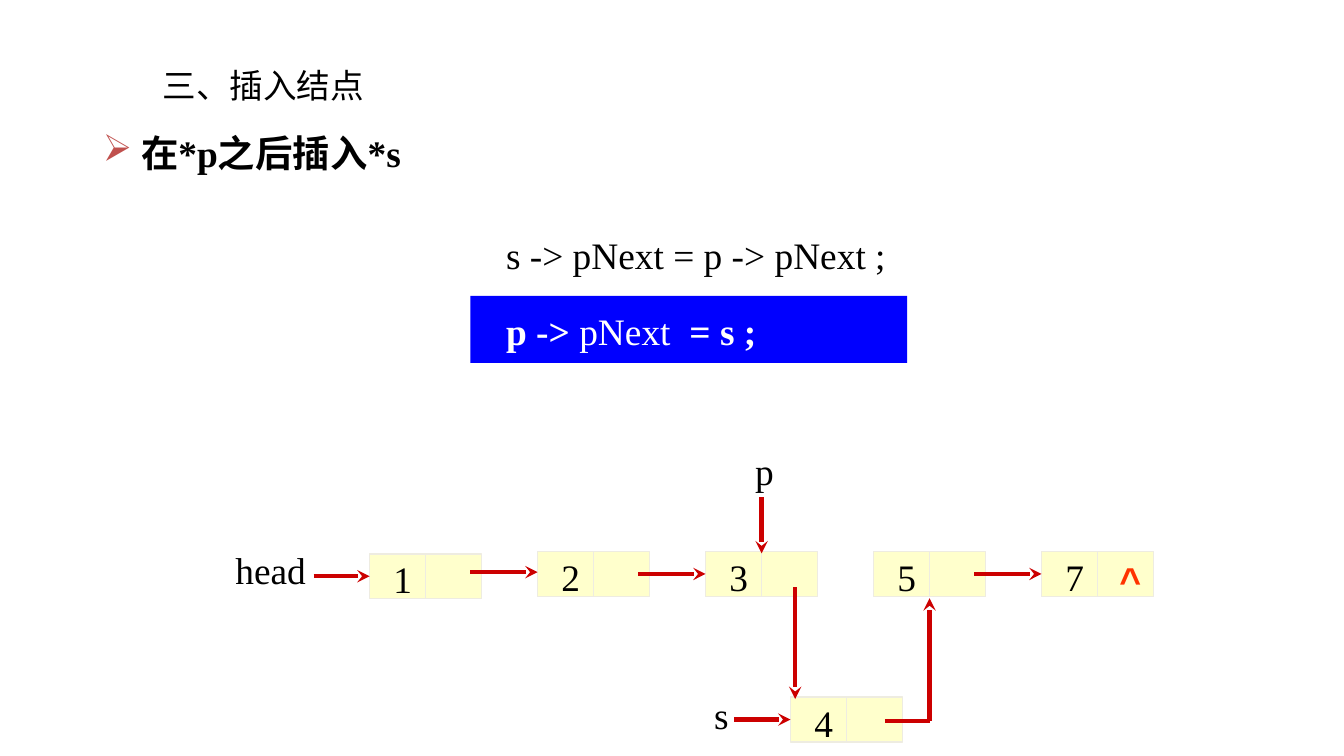
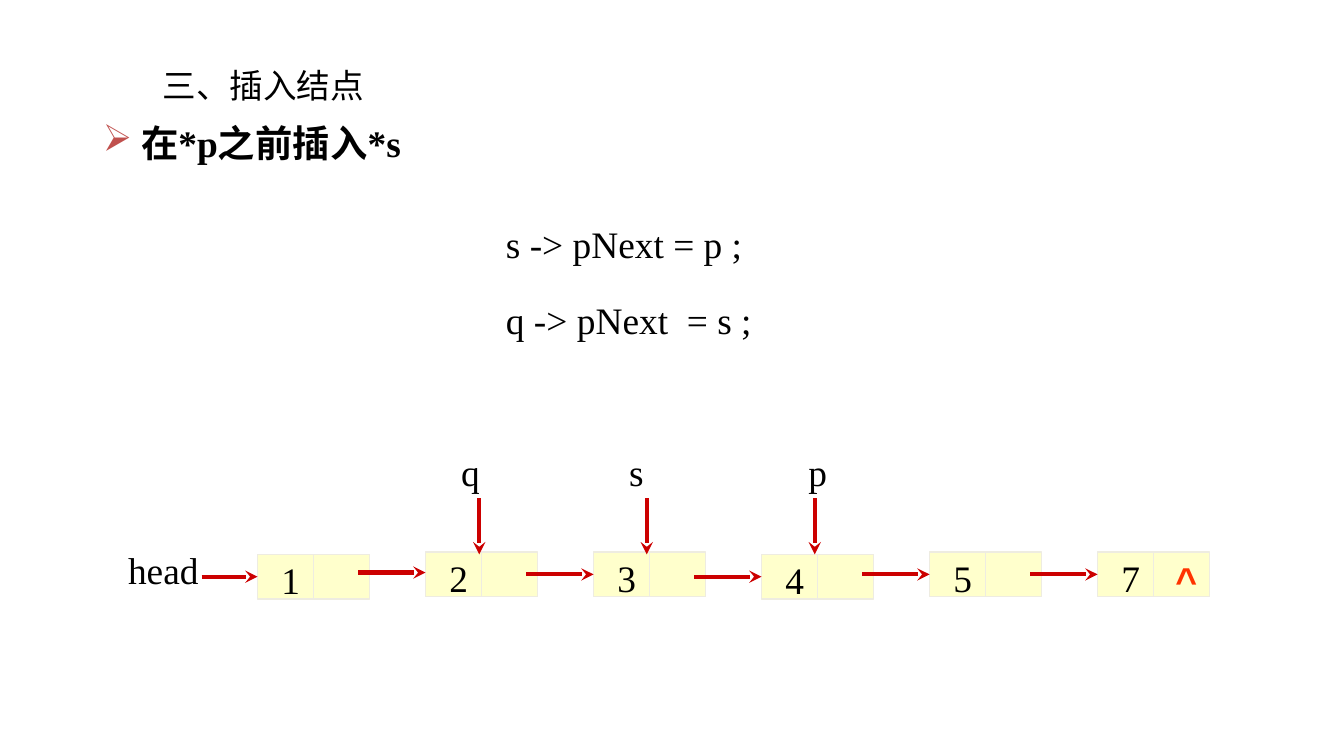
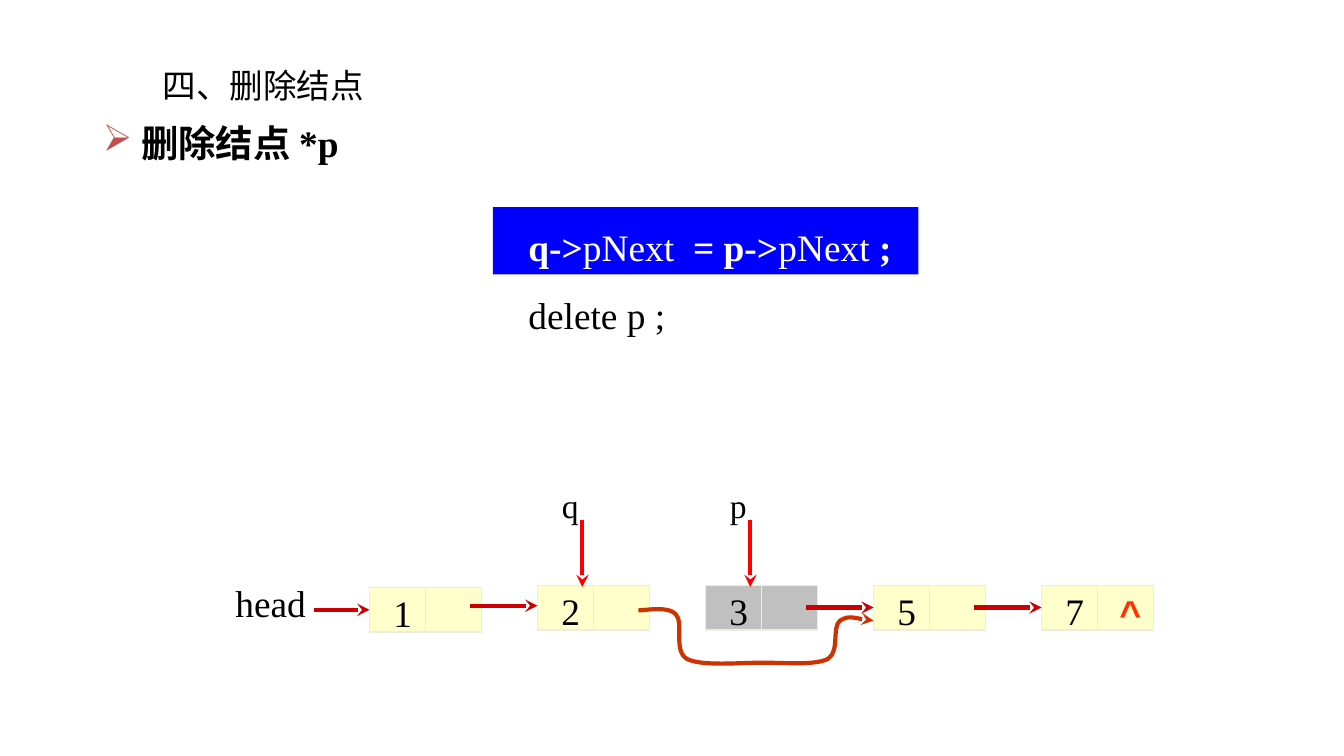
from lxml.etree import SubElement
from pptx import Presentation
from pptx.dml.color import RGBColor
from pptx.enum.shapes import MSO_CONNECTOR, MSO_SHAPE
from pptx.enum.text import MSO_ANCHOR, MSO_AUTO_SIZE, PP_ALIGN
from pptx.oxml.ns import qn
from pptx.util import Pt

SERIF = "Times New Roman"
BLACK, WHITE, BLUE = "000000", "FFFFFF", "0000FF"
CREAM, GRAY, EDGE = "FFFFCC", "C0C0C0", "EEECE1"
RED, BRIGHT, RUST, CARET, BRICK = "CC0000", "FF0000", "CC3300", "FF3300", "C0504D"
WIDE, HIGH, STEP = 60, 24, 90


def paint(part, hue):
    if hasattr(part, "solid"):
        part.solid()
        part = part.fore_color
    part.rgb = RGBColor.from_string(hue)


def text(slide, box, paras, align=PP_ALIGN.LEFT, lead=None, wrap=False, grow=True):
    shape = slide.shapes.add_textbox(*map(Pt, box))
    frame = shape.text_frame
    frame.word_wrap = wrap
    frame.auto_size = MSO_AUTO_SIZE.SHAPE_TO_FIT_TEXT if grow else MSO_AUTO_SIZE.NONE
    frame.vertical_anchor = MSO_ANCHOR.MIDDLE if grow else MSO_ANCHOR.TOP
    for i, runs in enumerate(paras):
        para = frame.add_paragraph() if i else frame.paragraphs[0]
        para.alignment = align
        if lead:
            para.line_spacing = lead
        for words, style in runs:
            run = para.add_run()
            run.text = words
            font = run.font
            font.name = style.get("face", SERIF)
            font.size = Pt(style.get("size", 20))
            font.bold = style.get("bold", False)
            paint(font.color, style.get("hue", BLACK))
    return frame.paragraphs[0]


def label(slide, x, y, word, align=PP_ALIGN.CENTER, wide=24.5, **style):
    text(slide, (x, y, wide, 31), [[(word, style)]], align)


def title(slide, words):
    para = text(slide, (75, 31.5, 212.5, 31), [[(words, {"size": 18, "face": "Calibri"})]],
                wrap=True, grow=False)
    para.space_before = Pt(2.7)
    para._p.get_or_add_pPr().set("indent", str(Pt(5)))


def topic(slide, y, words):
    para = text(slide, (48, y, 630, 41), [[(words, {"bold": True})]], lead=1.4, wrap=True)
    props = para._p.get_or_add_pPr()
    tint = SubElement(props, qn("a:buClr"))
    SubElement(tint, qn("a:srgbClr")).set("val", BRICK)
    SubElement(props, qn("a:buChar")).set("char", "➢")


def block(slide, box, fill, edge=None):
    shape = slide.shapes.add_shape(MSO_SHAPE.RECTANGLE, *map(Pt, box))
    shape.shadow.inherit = False
    paint(shape.fill, fill)
    if edge:
        paint(shape.line.fill, edge)
        shape.line.width = Pt(0.75)
    else:
        shape.line.fill.background()


def point(shape):
    stroke = shape._element.spPr.find(qn("a:ln"))
    SubElement(stroke, qn("a:tailEnd")).set("type", "stealth")


def line(slide, x, y, to_x, to_y, hue=RED, width=2.25, head=True):
    link = slide.shapes.add_connector(MSO_CONNECTOR.STRAIGHT, *map(Pt, (x, y, to_x, to_y)))
    paint(link.line.fill, hue)
    link.line.width = Pt(width)
    if head:
        point(link)
    SubElement(link._element.spPr, qn("a:effectLst"))


def curve(slide, start, dots):
    draw = slide.shapes.build_freeform(*map(Pt, start))
    draw.add_line_segments([(Pt(x), Pt(y)) for x, y in dots], close=False)
    shape = draw.convert_to_shape()
    shape.shadow.inherit = False
    shape.fill.background()
    paint(shape.line.fill, RUST)
    shape.line.width = Pt(2.25)
    point(shape)
    track = shape._element.spPr.find(".//" + qn("a:path"))
    legs = track.findall(qn("a:lnTo"))
    for i in range(0, len(legs), 3):
        bend = SubElement(track, qn("a:cubicBezTo"))
        for leg in legs[i:i + 3]:
            bend.append(leg[0])
            track.remove(leg)


def node(slide, x, y, word, fill=CREAM):
    block(slide, (x, y, WIDE, HIGH), fill, EDGE)
    line(slide, x + WIDE / 2, y, x + WIDE / 2, y + HIGH, EDGE, 0.75, False)
    label(slide, x + 5.5, y - 2, word)


def entry(slide, x, y):
    line(slide, x - 30, y + HIGH / 2, x, y + HIGH / 2)


def chain(slide, left, top, words, head, low="1", gap=None, dim=None):
    for i, word in enumerate(words):
        x = left + i * STEP
        y = top + (1.2 if word in low else 0)
        node(slide, x, y, word, GRAY if word == dim else CREAM)
        if i == 0:
            entry(slide, x, y)
            label(slide, head, top - 6, "head", PP_ALIGN.LEFT, 54)
        elif word != gap:
            rise = 1 if i == 1 else 0
            mid = y + HIGH / 2 - rise
            line(slide, x - 36, mid, x, mid)
    label(slide, x + 34.5, top - 0.7, "^", wide=26, face="Arial", hue=CARET, bold=True)


def marker(slide, word, mid, y, x, start, tip, hue=RED, size=20):
    label(slide, mid - 12.25, y, word, size=size)
    line(slide, x, start, x, tip, hue)


def after(slide):
    title(slide, "三、插入结点")
    block(slide, (252, 158.5, 234, 36), BLUE)
    topic(slide, 56.5, " 在*p之后插入*s")
    bold = {"hue": WHITE, "bold": True}
    text(slide, (264, 106.5, 264, 84),
         [[("s -> pNext = p -> pNext ;", {})],
          [("p -> ", bold), ("pNext", {"hue": WHITE}), ("  = s ;", bold)]],
         lead=1.7, wrap=True)
    node(slide, 423.5, 373.5, "4")
    entry(slide, 423.5, 373.5)
    label(slide, 360.5, 367.5, "s", PP_ALIGN.RIGHT, 37)
    chain(slide, 198, 295.5, "12357", 119, gap="5")
    marker(slide, "p", 409.5, 236.5, 408, 266.5, 296.5)
    line(slide, 474, 386.5, 498, 386.5, head=False)
    line(slide, 498, 386.5, 498, 320.5)
    line(slide, 426, 314.5, 426, 374.5)


def before(slide):
    title(slide, "三、插入结点")
    topic(slide, 51, " 在*p之前插入*s")
    text(slide, (264, 100.5, 210, 84),
         [[("s -> pNext = p ;", {})], [("q -> pNext  = s ;", {})]], lead=1.7, wrap=True)
    chain(slide, 138, 295.75, "123457", 61.5, low="14")
    for word, mid, x in (("p", 438, 436.5), ("q", 252, 256.75), ("s", 341, 346.5)):
        marker(slide, word, mid, 237, x, 267, 297)


def delete(slide):
    title(slide, "四、删除结点")
    block(slide, (264, 111, 228, 36), BLUE)
    topic(slide, 51, " 删除结点 *p")
    chain(slide, 198, 313.5, "12357", 119, gap="3", dim="3")
    for word, mid, x in (("p", 395.5, 402), ("q", 305.5, 312)):
        marker(slide, word, mid, 255, x, 278.5, 314.5, BRIGHT, 18)
    plain, bold = {"hue": WHITE}, {"hue": WHITE, "bold": True}
    text(slide, (276, 106.5, 210, 75.5),
         [[("q->", bold), ("pNext", plain), ("  = p->", bold), ("pNext ", plain), (";", bold)],
          [("delete p ;", {})]], lead=1.5)
    curve(slide, (342, 327),
          [(345.5, 327), (358, 324.5), (362, 329),
           (366.5, 333.5), (360.5, 348.5), (368, 353),
           (376, 357), (396, 355), (408.5, 355),
           (421, 355), (436.5, 356.5), (443.5, 353),
           (450, 349), (445.5, 336), (450, 332.5),
           (454.5, 329.5), (465, 332.5), (468, 332.5)])


def main():
    deck = Presentation()
    deck.slide_width, deck.slide_height = Pt(720), Pt(405)
    for fill in (after, before, delete):
        fill(deck.slides.add_slide(deck.slide_layouts[6]))
    deck.save("out.pptx")


if __name__ == "__main__":
    main()
